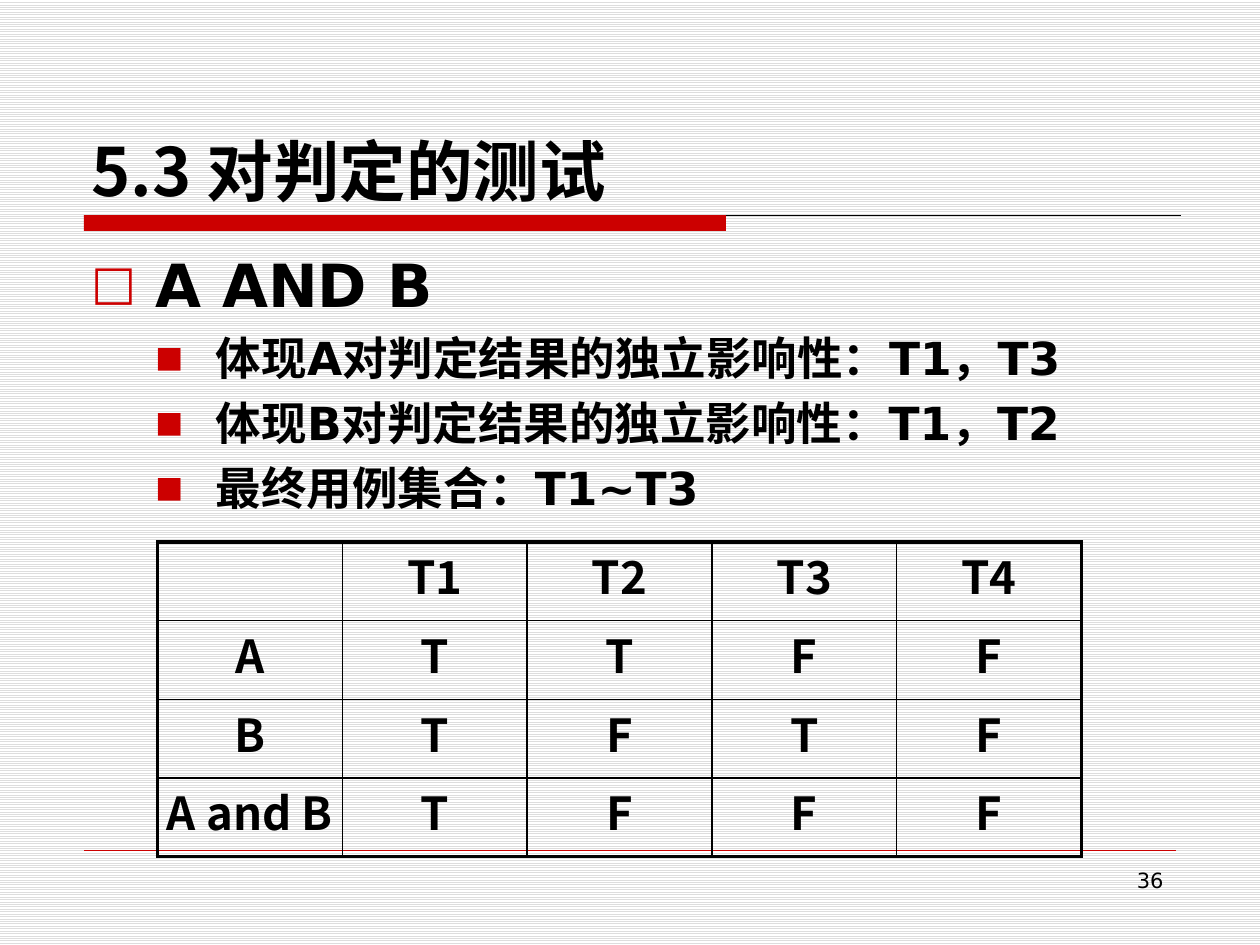
from lxml import etree
from pptx import Presentation
from pptx import util as u
from pptx.dml.color import RGBColor
from pptx.enum import dml, shapes, text
from pptx.oxml.ns import qn

COLUMNS, ROWS = 120, 90
UNIT = u.Inches(10) // COLUMNS
INK, RED = "000000", "CC0000"
CJK, SANS = "Noto Sans CJK SC", "DejaVu Sans"
INNER, OUTER = 1, 2.25

POINTS = [
    ("A AND B", 0),
    ("体现A对判定结果的独立影响性：T1，T3", 1),
    ("体现B对判定结果的独立影响性：T1，T2", 1),
    ("最终用例集合：T1~T3", 1),
]
LEVELS = [
    dict(size=34, bullet="□", share=80, margin=0.51, hang=0.51),
    dict(size=26, bullet="■", share=65, margin=0.99, hang=0.48),
]
CASES = [
    ["", "T1", "T2", "T3", "T4"],
    ["A", "T", "T", "F", "F"],
    ["B", "T", "F", "T", "F"],
    ["A and B", "T", "F", "F", "F"],
]


def colour(value):
    return RGBColor.from_string(value)


def grid(*cells):
    return [round(cell * UNIT) for cell in cells]


def format_runs(paragraph, size, face, bold=True):
    for run in paragraph.runs:
        run.font.size = u.Pt(size)
        run.font.bold = bold
        run.font.name = face
        run.font.color.rgb = colour(INK)
        etree.SubElement(run.font._element, qn("a:ea"), typeface=face)


def add_rule(slide, start, end, tint, width):
    rule = slide.shapes.add_connector(shapes.MSO_CONNECTOR.STRAIGHT, *start, *end)
    rule.line.color.rgb = colour(tint)
    rule.line.width = u.Pt(width)
    etree.SubElement(rule._element.spPr, qn("a:effectLst"))


def paint_background(slide):
    fill = slide.background.fill
    fill.patterned()
    fill.pattern = dml.MSO_PATTERN.LIGHT_HORIZONTAL
    fill.fore_color.rgb = colour("DDDDDD")
    fill.back_color.rgb = colour("FFFFFF")


def add_divider(slide, left, top, width, height):
    add_rule(slide, (left, top), (left + width, top), INK, 0.75)
    bar = slide.shapes.add_shape(
        shapes.MSO_SHAPE.RECTANGLE, left, top, round(width * 0.585), height)
    bar.shadow.inherit = False
    bar.fill.solid()
    bar.fill.fore_color.rgb = colour(RED)
    bar.line.fill.background()


def place_title(slide, left, top, width, height):
    title = slide.shapes.title
    title.left, title.top, title.width, title.height = left, top, width, height
    frame = title.text_frame
    frame.text = "5.3 对判定的测试"
    frame.vertical_anchor = text.MSO_ANCHOR.BOTTOM
    frame.margin_bottom = 0
    frame.paragraphs[0].alignment = text.PP_ALIGN.LEFT
    format_runs(frame.paragraphs[0], 38, CJK)


def add_bullet(paragraph, bullet, share, margin, hang):
    props = paragraph._p.get_or_add_pPr()
    props.set("marL", str(u.Inches(margin)))
    props.set("indent", str(-u.Inches(hang)))
    tint = etree.SubElement(props, qn("a:buClr"))
    etree.SubElement(tint, qn("a:srgbClr"), val=RED)
    etree.SubElement(props, qn("a:buSzPct"), val=str(share * 1000))
    etree.SubElement(props, qn("a:buFont"), typeface=SANS)
    etree.SubElement(props, qn("a:buChar"), char=bullet)


def add_points(slide, left, top, width, height):
    frame = slide.shapes.add_textbox(left, top, width, height).text_frame
    frame.word_wrap = True
    for index, (wording, depth) in enumerate(POINTS):
        point = frame.add_paragraph() if index else frame.paragraphs[0]
        point.text = wording
        point.level = depth
        level = dict(LEVELS[depth])
        size = level.pop("size")
        add_bullet(point, **level)
        point.alignment = text.PP_ALIGN.JUSTIFY
        if index:
            point.space_before = u.Pt(6)
        format_runs(point, size, SANS)


def set_borders(cell, **widths):
    props = cell._tc.get_or_add_tcPr()
    for side in "LRTB":
        edge = etree.SubElement(
            props, qn(f"a:ln{side}"), w=str(u.Pt(widths[side])))
        fill = etree.SubElement(edge, qn("a:solidFill"))
        etree.SubElement(fill, qn("a:srgbClr"), val=INK)


def add_cases(slide, left, top, width, height):
    last_row, last_column = len(CASES) - 1, len(CASES[0]) - 1
    cases = slide.shapes.add_table(
        last_row + 1, last_column + 1, left, top, width, height).table
    cases.first_row = cases.horz_banding = False
    for r, values in enumerate(CASES):
        for c, value in enumerate(values):
            cell = cases.cell(r, c)
            cell.margin_left = cell.margin_right = 0
            cell.margin_top = cell.margin_bottom = 0
            set_borders(
                cell,
                L=INNER if c else OUTER,
                R=OUTER if c == last_column else INNER,
                T=INNER if r else OUTER,
                B=OUTER if r == last_row else INNER)
            cell.fill.background()
            cell.text = value
            entry = cell.text_frame.paragraphs[0]
            entry.alignment = text.PP_ALIGN.CENTER
            format_runs(entry, 26, CJK)


def add_page_number(slide, left, top, width, height):
    frame = slide.shapes.add_textbox(left, top, width, height).text_frame
    frame.word_wrap = True
    frame.text = "36"
    frame.paragraphs[0].alignment = text.PP_ALIGN.RIGHT
    format_runs(frame.paragraphs[0], 12, SANS, bold=False)


def main():
    deck = Presentation()
    deck.slide_width, deck.slide_height = grid(COLUMNS, ROWS)
    slide = deck.slides.add_slide(deck.slide_layouts[5])
    paint_background(slide)
    add_divider(slide, *grid(8, 20.5, 104.5, 1.5))
    add_rule(slide, grid(8, 81), grid(112, 81), RED, 0.25)
    add_page_number(slide, *grid(86, 82, 26, 6.25))
    place_title(slide, *grid(7.5, 4, 105, 16))
    add_points(slide, *grid(7.5, 23, 105, 56))
    add_cases(slide, *grid(15, 51.6, 88, 30))
    deck.save("out.pptx")


if __name__ == "__main__":
    main()
